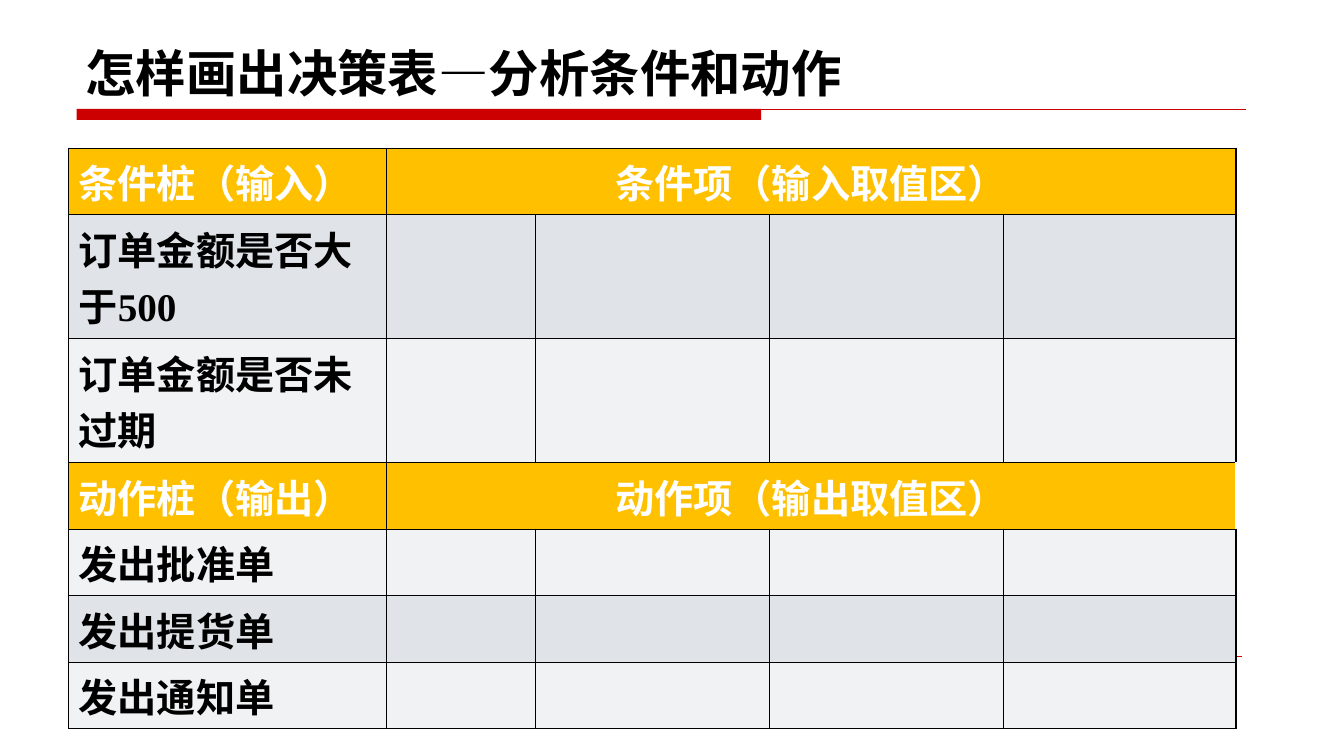
from dataclasses import dataclass

from lxml.etree import SubElement
from pptx import Presentation
from pptx.dml.color import RGBColor
from pptx.enum.shapes import MSO_CONNECTOR, MSO_SHAPE
from pptx.enum.text import MSO_ANCHOR, PP_ALIGN
from pptx.oxml.ns import qn
from pptx.util import Inches, Pt

BLACK = RGBColor(0x00, 0x00, 0x00)
WHITE = RGBColor(0xFF, 0xFF, 0xFF)
RED = RGBColor(0xCC, 0x00, 0x00)
GOLD = RGBColor(0xFF, 0xC0, 0x00)
GREY = RGBColor(0xE0, 0xE4, 0xE9)
PALE = RGBColor(0xF0, 0xF2, 0xF4)
HAN = "Noto Sans CJK SC"
ROMAN = "Times New Roman"
SINGLE, DOUBLE = 0.66, 1.23


@dataclass
class Rule:
    top: float
    right: float
    weight: float


@dataclass
class Row:
    label: str
    height: float
    fill: RGBColor
    head: str = ""
    edge: RGBColor = BLACK


RULES = [Rule(1.08, 12.36, 0.25), Rule(6.51, 12.32, 0.25)]
WIDTHS = [3.15, 1.48, 2.32, 2.32, 2.31]
ROWS = [
    Row("条件桩（输入）", SINGLE, GOLD, "条件项（输入取值区）"),
    Row("订单金额是否大于500", DOUBLE, GREY),
    Row("订单金额是否未过期", DOUBLE, PALE),
    Row("动作桩（输出）", SINGLE, GOLD, "动作项（输出取值区）", WHITE),
    Row("发出批准单", SINGLE, PALE),
    Row("发出提货单", SINGLE, GREY),
    Row("发出通知单", SINGLE, PALE),
]


def add_run(para, text: str, size: float, color: RGBColor, latin: str) -> None:
    run = para.add_run()
    run.text = text
    font = run.font
    font.size, font.bold, font.name = Pt(size), True, latin
    font.color.rgb = color
    SubElement(run._r.get_or_add_rPr(), qn("a:ea")).set("typeface", HAN)


def draw_rule(slide, rule: Rule) -> None:
    line = slide.shapes.add_connector(
        MSO_CONNECTOR.STRAIGHT, Inches(0.76), Inches(rule.top),
        Inches(rule.right), Inches(rule.top))
    line.line.color.rgb = RED
    line.line.width = Pt(rule.weight)
    SubElement(line._element.spPr, qn("a:effectLst"))


def style_cell(cell, fill: RGBColor, right: RGBColor) -> None:
    # Borders come before the fill in the cell properties
    props = cell._tc.get_or_add_tcPr()
    for side in "LRTB":
        edge = SubElement(props, qn(f"a:ln{side}"), w=str(Pt(1)))
        paint = SubElement(edge, qn("a:solidFill"))
        color = right if side == "R" else BLACK
        SubElement(paint, qn("a:srgbClr"), val=str(color))
    cell.fill.solid()
    cell.fill.fore_color.rgb = fill


def draw_row(table, index: int, row: Row) -> None:
    table.rows[index].height = Inches(row.height)
    cells = [table.cell(index, col) for col in range(len(WIDTHS))]
    for col, cell in enumerate(cells):
        style_cell(cell, row.fill, row.edge if col else BLACK)
    color = WHITE if row.head else BLACK
    add_run(cells[0].text_frame.paragraphs[0], row.label, 28, color, ROMAN)
    if row.head:
        cells[1].merge(cells[-1])
        para = cells[1].text_frame.paragraphs[0]
        para.alignment = PP_ALIGN.CENTER
        add_run(para, row.head, 28, color, ROMAN)


deck = Presentation()
deck.slide_width, deck.slide_height = Inches(13.33), Inches(7.5)
slide = deck.slides.add_slide(deck.slide_layouts[6])

# Red bar and thin rules
bar = slide.shapes.add_shape(MSO_SHAPE.RECTANGLE, Inches(0.76), Inches(1.08),
                             Inches(6.79), Inches(0.11))
bar.shadow.inherit = False
bar.fill.solid()
bar.fill.fore_color.rgb = RED
bar.line.fill.background()
for rule in RULES:
    draw_rule(slide, rule)

# Title
title = slide.shapes.add_textbox(Inches(0.75), Inches(0.28),
                                 Inches(11.67), Inches(0.79))
frame = title.text_frame
frame.word_wrap = True
frame.vertical_anchor = MSO_ANCHOR.BOTTOM
add_run(frame.paragraphs[0], "怎样画出决策表—分析条件和动作", 36, BLACK, HAN)

# Decision table
grid = slide.shapes.add_table(
    len(ROWS), len(WIDTHS), Inches(0.68), Inches(1.47),
    Inches(sum(WIDTHS)), Inches(sum(row.height for row in ROWS)))
table = grid.table
for column, width in zip(table.columns, WIDTHS):
    column.width = Inches(width)
for index, row in enumerate(ROWS):
    draw_row(table, index, row)

deck.save("out.pptx")
